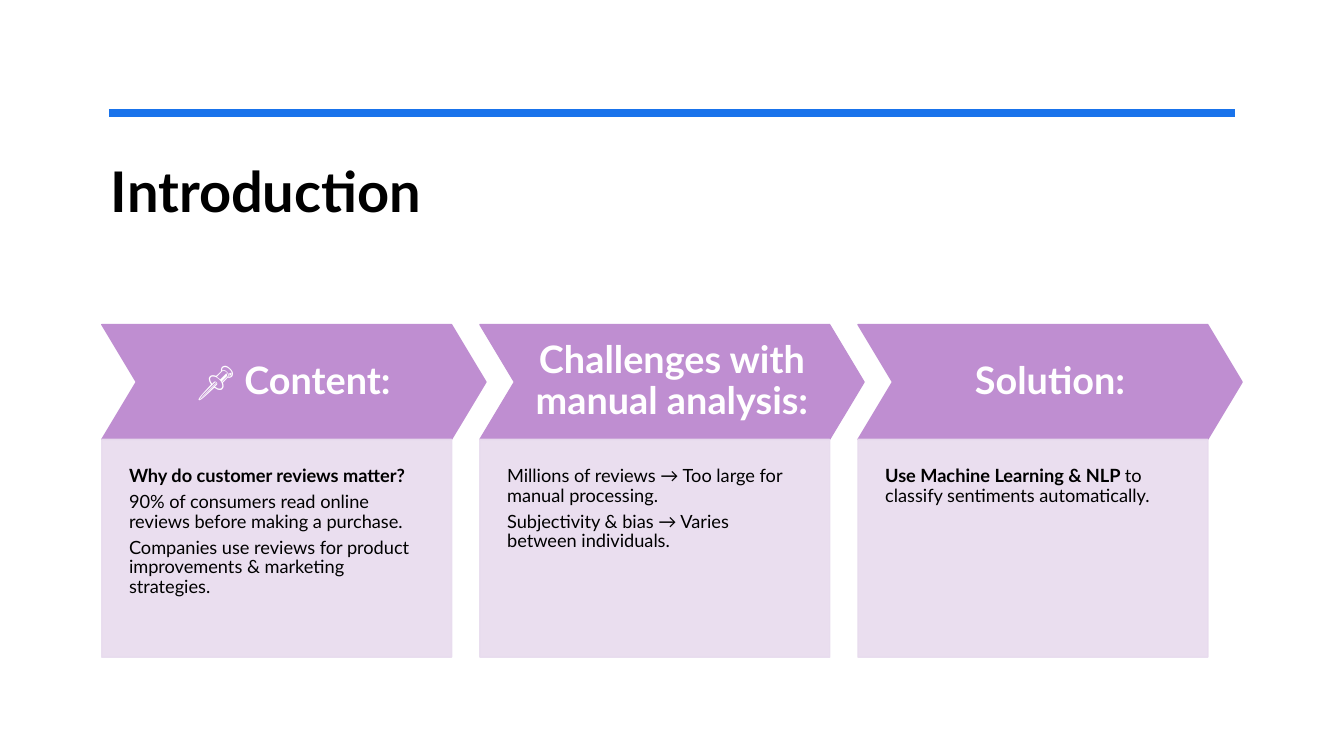
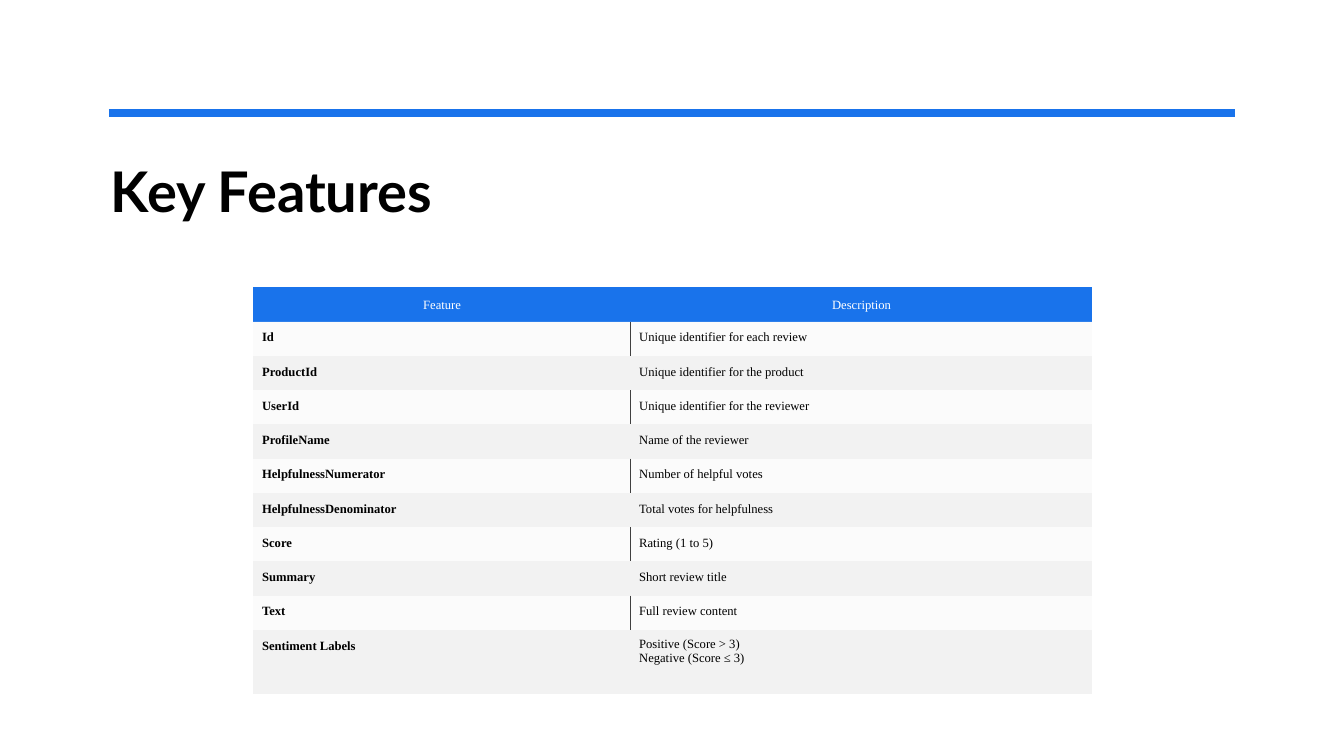
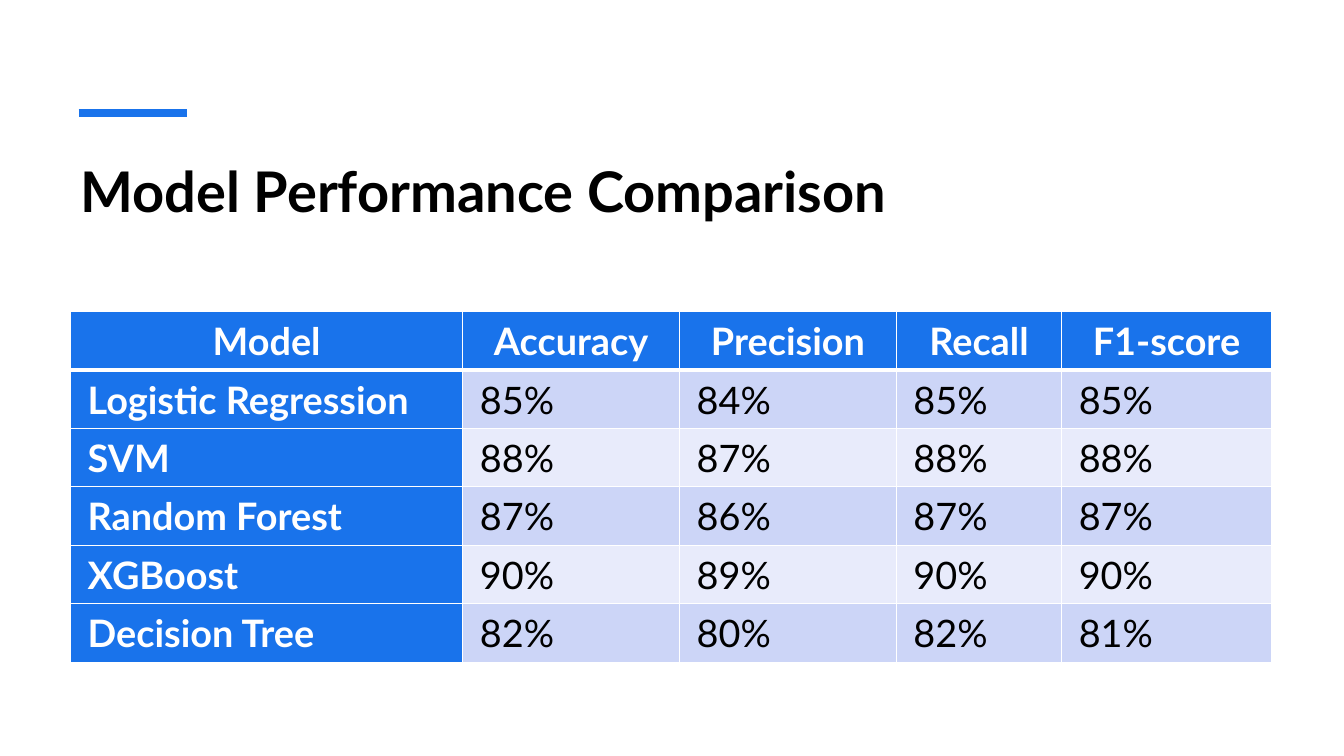
from dataclasses import dataclass
from typing import NamedTuple

from lxml.etree import SubElement
from pptx import Presentation
from pptx.dml.color import RGBColor
from pptx.enum.shapes import MSO_CONNECTOR as Connector, MSO_SHAPE as Shape
from pptx.enum.text import MSO_ANCHOR as Anchor, MSO_AUTO_SIZE as AutoSize, PP_ALIGN as Align
from pptx.oxml.ns import qn
from pptx.util import Emu, Pt

PX = 9144  # one px is a hundredth of an inch
NO_TABLE_STYLE = "{2D5ABB26-0587-4C30-8999-92F81FD0307C}"


@dataclass(frozen=True)
class Theme:
    font: str = "Lato"
    table_font: str = "Times New Roman"
    title_size: int = 40
    heading_size: int = 27
    body_size: int = 13
    small_size: int = 9
    blue: str = "1973EB"
    purple: str = "BF8ED1"
    lilac: str = "E8DBEE"
    grey: str = "F2F2F2"
    divider: str = "404040"
    band_dark: str = "CCD5F7"
    band_light: str = "E8EBFB"
    black: str = "000000"
    white: str = "FFFFFF"


class Box(NamedTuple):
    x: int
    y: int
    w: int
    h: int

    def emu(self):
        return [px(side) for side in self]


class TextStyle(NamedTuple):
    size: int
    color: str
    font: str
    align: Align = Align.LEFT
    spacing: float = 1.0
    after: float = 0


THEME = Theme()


# Shared helpers
def px(length):
    return Emu(length * PX)


def set_fill(fill, color, opacity=100):
    fill.solid()
    fill.fore_color.rgb = RGBColor.from_string(color)
    if opacity < 100:
        for node in fill._xPr.iter(qn("a:srgbClr")):
            SubElement(node, qn("a:alpha"), val=str(opacity * 1000))


def set_insets(target, left, top, right, bottom):
    target.margin_left, target.margin_top = px(left), px(top)
    target.margin_right, target.margin_bottom = px(right), px(bottom)


def write(frame, paragraphs, style):
    """Each paragraph is a list of (text, bold) spans."""
    for index, spans in enumerate(paragraphs):
        para = frame.paragraphs[0] if index == 0 else frame.add_paragraph()
        para.alignment = style.align
        para.line_spacing = style.spacing
        para.space_after = Pt(style.after)
        for text, bold in spans:
            span = para.add_run()
            span.text = text
            span.font.name = style.font
            span.font.size = Pt(style.size)
            span.font.bold = bold
            span.font.color.rgb = RGBColor.from_string(style.color)


def add_page(deck, title, box, rule_width):
    """Title with the blue rule above it."""
    page = deck.slides.add_slide(deck.slide_layouts[5])
    holder = page.shapes.title
    holder.left, holder.top, holder.width, holder.height = box.emu()
    frame = holder.text_frame
    frame.auto_size, frame.vertical_anchor = AutoSize.NONE, Anchor.TOP
    write(frame, [[(title, True)]], TextStyle(THEME.title_size, THEME.black, THEME.font))

    left, top = box.x + 8, box.y - 38
    rule = page.shapes.add_connector(
        Connector.STRAIGHT, px(left), px(top), px(left + rule_width), px(top))
    rule.line.color.rgb = RGBColor.from_string(THEME.blue)
    rule.line.width = Pt(6)
    SubElement(rule._element.spPr, qn("a:effectLst"))
    return page


# Chevron columns
def add_block(page, kind, box, color, opacity=100):
    block = page.shapes.add_shape(kind, *box.emu())
    block.shadow.inherit = False
    set_fill(block.fill, color, opacity)
    set_fill(block.line.fill, color, opacity)
    block.line.width = Pt(1)
    block.text_frame.word_wrap = True
    return block


def add_column(page, box, heading, paragraphs):
    head_height, tip = 114, 34
    chevron = add_block(page, Shape.CHEVRON, Box(box.x, box.y, box.w, head_height), THEME.purple)
    chevron.adjustments[0] = 0.3
    set_insets(chevron.text_frame, 14, 14, 14, 14)
    chevron.text_frame.vertical_anchor = Anchor.MIDDLE
    write(chevron.text_frame, [heading],
          TextStyle(THEME.heading_size, THEME.white, THEME.font, Align.CENTER, 0.9))

    panel_box = Box(box.x, box.y + head_height, box.w - tip, box.h - head_height)
    panel = add_block(page, Shape.RECTANGLE, panel_box, THEME.lilac, 90)
    set_insets(panel.text_frame, 27, 27, 27, 55)
    panel.text_frame.vertical_anchor = Anchor.TOP
    write(panel.text_frame, paragraphs,
          TextStyle(THEME.body_size, THEME.black, THEME.font, Align.LEFT, 0.9, 4.5))


# Tables
def add_grid(page, box, widths, heights):
    table = page.shapes.add_table(len(heights), len(widths), *box.emu()).table
    table.first_row = table.horz_banding = False
    table._tbl.tblPr.find(qn("a:tableStyleId")).text = NO_TABLE_STYLE
    for column, width in zip(table.columns, widths):
        column.width = px(width)
    for row, height in zip(table.rows, heights):
        row.height = px(height)
    return table


def set_borders(cell, color, widths):
    """Widths in points, keyed by side."""
    for side in "LRTB":
        if side in widths:
            line = SubElement(cell._tc.get_or_add_tcPr(), qn("a:ln" + side),
                              w=str(Pt(widths[side])))
            SubElement(SubElement(line, qn("a:solidFill")), qn("a:srgbClr"), val=color)


def add_feature_table(page, box, rows):
    row_height = 34
    heights = [row_height] * (len(rows) - 1)
    table = add_grid(page, box, [374, box.w - 374], heights + [box.h - sum(heights)])
    for r, row in enumerate(rows):
        header, light = r == 0, r % 2 == 1
        for c, text in enumerate(row):
            cell = table.cell(r, c)
            set_insets(cell, 9, 7, 8, 7)
            if light:
                set_borders(cell, THEME.divider, {"LR"[1 - c]: 0.5})
            set_fill(cell.fill, THEME.blue if header else THEME.grey, 30 if light else 100)
            cell.vertical_anchor = Anchor.MIDDLE if header else Anchor.TOP
            lines = text.split("\n")
            spacing, after = (1.15, 8) if len(lines) == 1 else (1.0, 0)
            write(cell.text_frame, [[(line, c == 0 and not header)] for line in lines],
                  TextStyle(THEME.small_size, THEME.white if header else THEME.black,
                            THEME.table_font, Align.CENTER if header else Align.LEFT,
                            spacing, after))


def add_score_table(page, box, widths, rows):
    table = add_grid(page, box, widths, [box.h // len(rows)] * len(rows))
    for r, row in enumerate(rows):
        for c, text in enumerate(row):
            cell = table.cell(r, c)
            label = r == 0 or c == 0
            band = THEME.band_dark if r % 2 else THEME.band_light
            set_insets(cell, 17, 0, 17, 0)
            set_borders(cell, THEME.white, {
                "L": 1, "R": 1, "T": 3 if r == 1 else 1, "B": 3 if r == 0 else 1})
            set_fill(cell.fill, THEME.blue if label else band)
            write(cell.text_frame, [[(text, label)]],
                  TextStyle(THEME.heading_size, THEME.white if label else THEME.black,
                            THEME.font, Align.CENTER if r == 0 else Align.LEFT, 1.15, 8))


# Content
COLUMNS = [
    ([("📌 ", False), ("Content:", True)],
     [[("Why do customer reviews matter?", True)],
      [("90% of consumers read online reviews before making a purchase.", False)],
      [("Companies use reviews for product improvements & marketing strategies.", False)]]),
    ([("Challenges with manual analysis:", True)],
     [[("Millions of reviews → Too large for manual processing.", False)],
      [("Subjectivity & bias → Varies between individuals.", False)]]),
    ([("Solution:", True)],
     [[("Use Machine Learning & NLP", True),
       (" to classify sentiments automatically.", False)]]),
]
FEATURES = [
    ("Feature", "Description"),
    ("Id", "Unique identifier for each review"),
    ("ProductId", "Unique identifier for the product"),
    ("UserId", "Unique identifier for the reviewer"),
    ("ProfileName", "Name of the reviewer"),
    ("HelpfulnessNumerator", "Number of helpful votes"),
    ("HelpfulnessDenominator", "Total votes for helpfulness"),
    ("Score", "Rating (1 to 5)"),
    ("Summary", "Short review title"),
    ("Text", "Full review content"),
    ("Sentiment Labels", "Positive (Score > 3)\nNegative (Score ≤ 3)"),
]
SCORES = [
    ("Model", "Accuracy", "Precision", "Recall", "F1-score"),
    ("Logistic Regression", "85%", "84%", "85%", "85%"),
    ("SVM", "88%", "87%", "88%", "88%"),
    ("Random Forest", "87%", "86%", "87%", "87%"),
    ("XGBoost", "90%", "89%", "90%", "90%"),
    ("Decision Tree", "82%", "80%", "82%", "81%"),
]


def main():
    deck = Presentation()
    deck.slide_width, deck.slide_height = px(1333), px(750)
    wide_title, wide_rule = Box(100, 150, 1133, 125), 1117

    page = add_page(deck, "Introduction", wide_title, wide_rule)
    for index, (heading, paragraphs) in enumerate(COLUMNS):
        add_column(page, Box(101 + 375 * index, 322, 381, 330), heading, paragraphs)

    page = add_page(deck, "Key Features", wide_title, wide_rule)
    add_feature_table(page, Box(251, 285, 832, 404), FEATURES)

    page = add_page(deck, "Model Performance Comparison", Box(70, 150, 1191, 120), 107)
    add_score_table(page, Box(70, 309, 1191, 351), [389, 215, 215, 164, 208], SCORES)

    deck.save("out.pptx")


if __name__ == "__main__":
    main()
